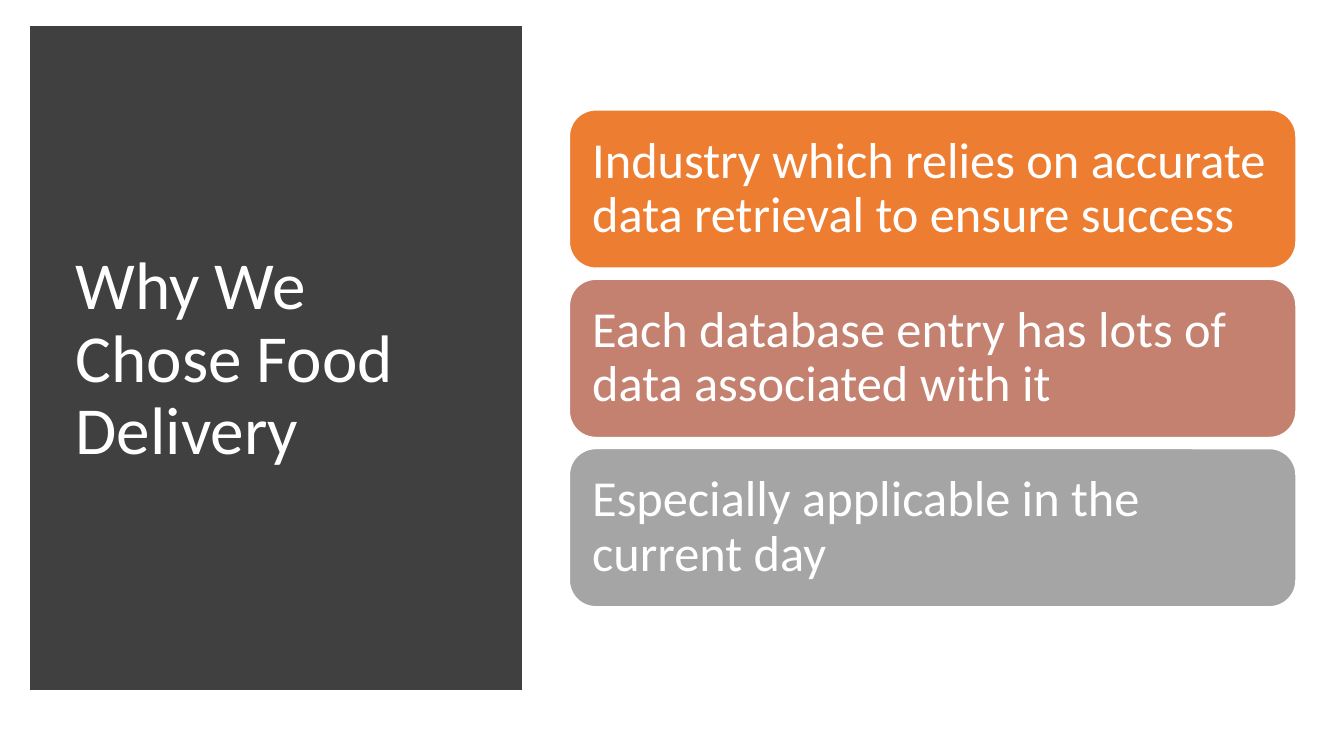
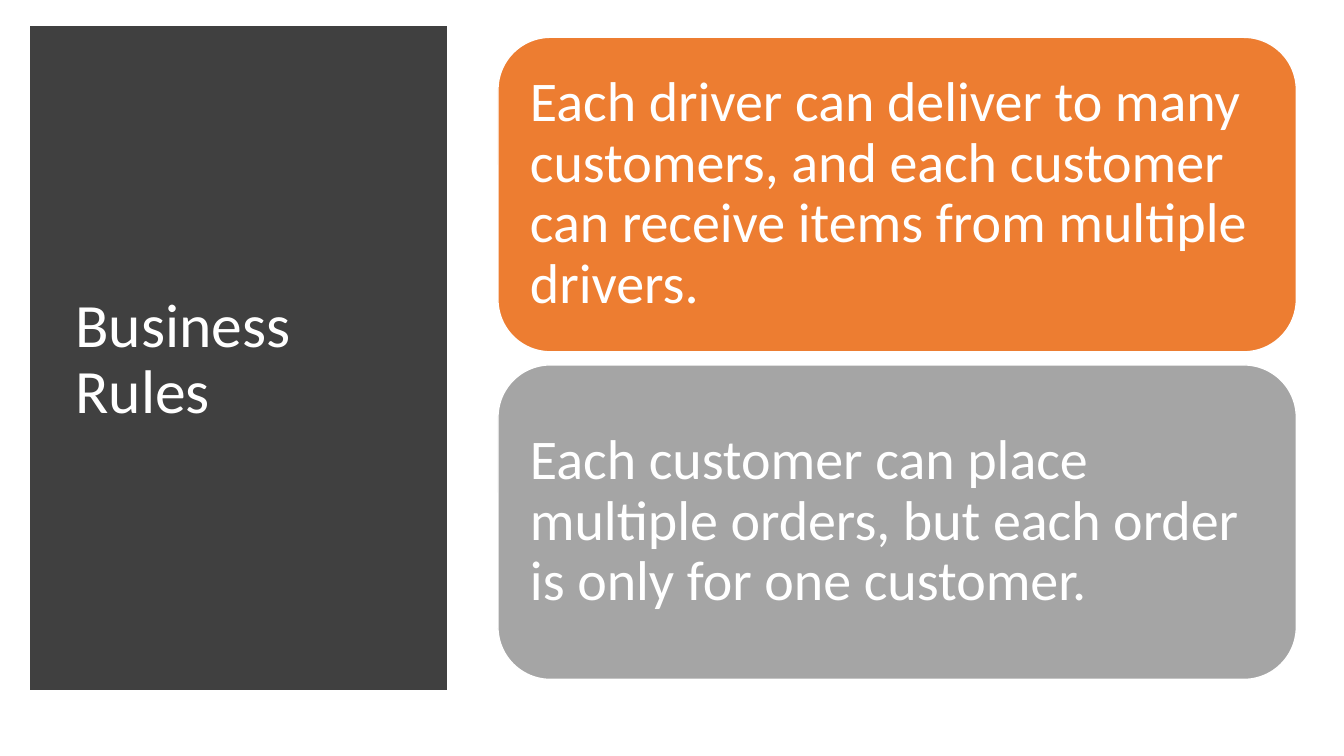
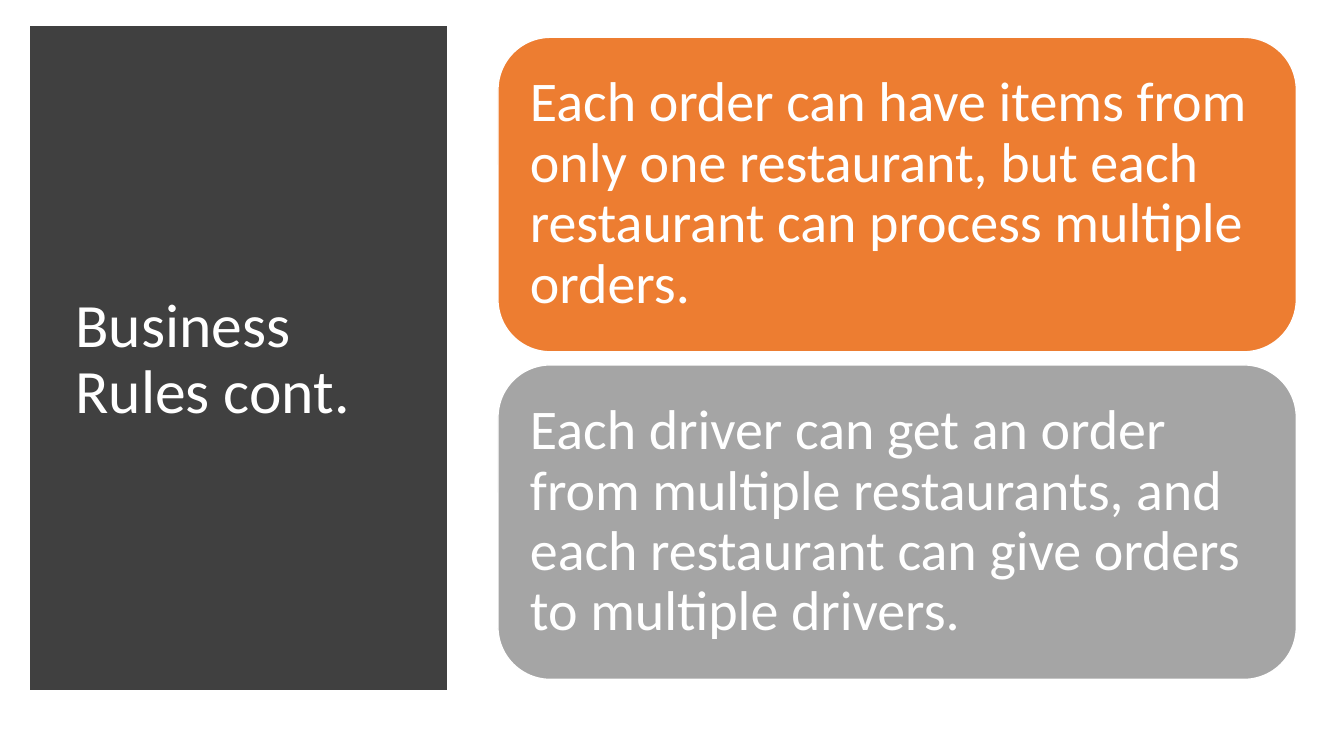
from lxml.etree import SubElement
from pptx import Presentation
from pptx.dml.color import RGBColor as RGB
from pptx.enum.shapes import MSO_SHAPE as Shape
from pptx.enum.text import MSO_ANCHOR as Anchor, MSO_AUTO_SIZE as Auto, PP_ALIGN as Align
from pptx.oxml.ns import qn
from pptx.util import Cm, Pt

HUES = {
    "white": "FFFFFF",
    "dark": "404040",
    "orange": "ED7D31",
    "rose": "C48170",
    "grey": "A5A5A5",
}
FRAME = {"word_wrap": True, "auto_size": Auto.NONE, "vertical_anchor": Anchor.MIDDLE}
PARA = {"alignment": Align.LEFT, "line_spacing": 0.9, "space_before": Pt(0)}
FONT = {"name": "Calibri", "bold": False}
SIDES = ("margin_left", "margin_top", "margin_right", "margin_bottom")

# Boxes are left, top, width, height in cm
WIDE = {
    "panel": (0.94, 0.84, 12.04, 16.38),
    "cards": (14.35, 2.77, 18.31, 12.52),
    "gap": 0.28, "inset": 0.38, "head": 48, "body": 36,
    "fills": ("orange", "rose", "grey"),
}
SLIM = {
    "panel": (0.94, 0.84, 10.16, 16.38),
    "cards": (12.55, 0.94, 20.12, 16.18),
    "gap": 0.33, "inset": 0.42, "head": 44, "body": 40,
    "fills": ("orange", "grey"),
}

SLIDES = [
    (WIDE, "Why We Chose Food Delivery", [
        "Industry which relies on accurate data retrieval to ensure success",
        "Each database entry has lots of data associated with it",
        "Especially applicable in the current day",
    ]),
    (SLIM, "Business Rules", [
        "Each driver can deliver to many customers, and each customer can "
        "receive items from multiple drivers.",
        "Each customer can place multiple orders, but each order is only "
        "for one customer.",
    ]),
    (SLIM, "Business Rules cont.", [
        "Each order can have items from only one restaurant, but each "
        "restaurant can process multiple orders.",
        "Each driver can get an order from multiple restaurants, and each "
        "restaurant can give orders to multiple drivers.",
    ]),
]


def color(name):
    return RGB.from_string(HUES[name])


def apply(item, values):
    for key, value in values.items():
        setattr(item, key, value)


def write(shape, text, size, inset=None):
    frame = shape.text_frame
    frame.text = text
    apply(frame, FRAME)
    if inset is not None:
        apply(frame, dict.fromkeys(SIDES, Cm(inset)))
    para = frame.paragraphs[0]
    apply(para, PARA)
    apply(para.runs[0].font, {**FONT, "size": Pt(size)})
    para.runs[0].font.color.rgb = color("white")


def block(slide, kind, box, fill, edge, width):
    shape = slide.shapes.add_shape(kind, *map(Cm, box))
    shape.shadow.inherit = False
    shape.fill.solid()
    shape.fill.fore_color.rgb = color(fill)
    shape.line.color.rgb = color(edge)
    shape.line.width = Pt(width)
    return shape


def panel(slide, box, text, size):
    """Dark panel with the slide title on it."""
    left, top, width, height = box
    back = block(slide, Shape.RECTANGLE, box, "dark", "dark", 10)
    edge = back.element.spPr.find(qn("a:ln"))
    SubElement(edge, qn("a:miter"), lim="800000")
    title = slide.shapes.title
    title.element.addprevious(back.element)
    apply(title, {
        "left": Cm(left + 0.71), "top": Cm(top + 0.94),
        "width": Cm(width - 1.42), "height": Cm(height - 1.78),
    })
    write(title, text, size)


def cards(slide, box, texts, look):
    """Equal rounded cards stacked to fill the box."""
    left, top, width, height = box
    gap = look["gap"]
    tall = (height - gap * (len(texts) - 1)) / len(texts)
    for row, (text, fill) in enumerate(zip(texts, look["fills"])):
        spot = (left, top + row * (tall + gap), width, tall)
        card = block(slide, Shape.ROUNDED_RECTANGLE, spot, fill, "white", 1)
        write(card, text, look["body"], look["inset"])


def main():
    deck = Presentation()
    apply(deck, {"slide_width": Cm(33.87), "slide_height": Cm(19.05)})
    for look, title, texts in SLIDES:
        slide = deck.slides.add_slide(deck.slide_layouts[5])
        panel(slide, look["panel"], title, look["head"])
        cards(slide, look["cards"], texts, look)
    deck.save("out.pptx")


if __name__ == "__main__":
    main()
